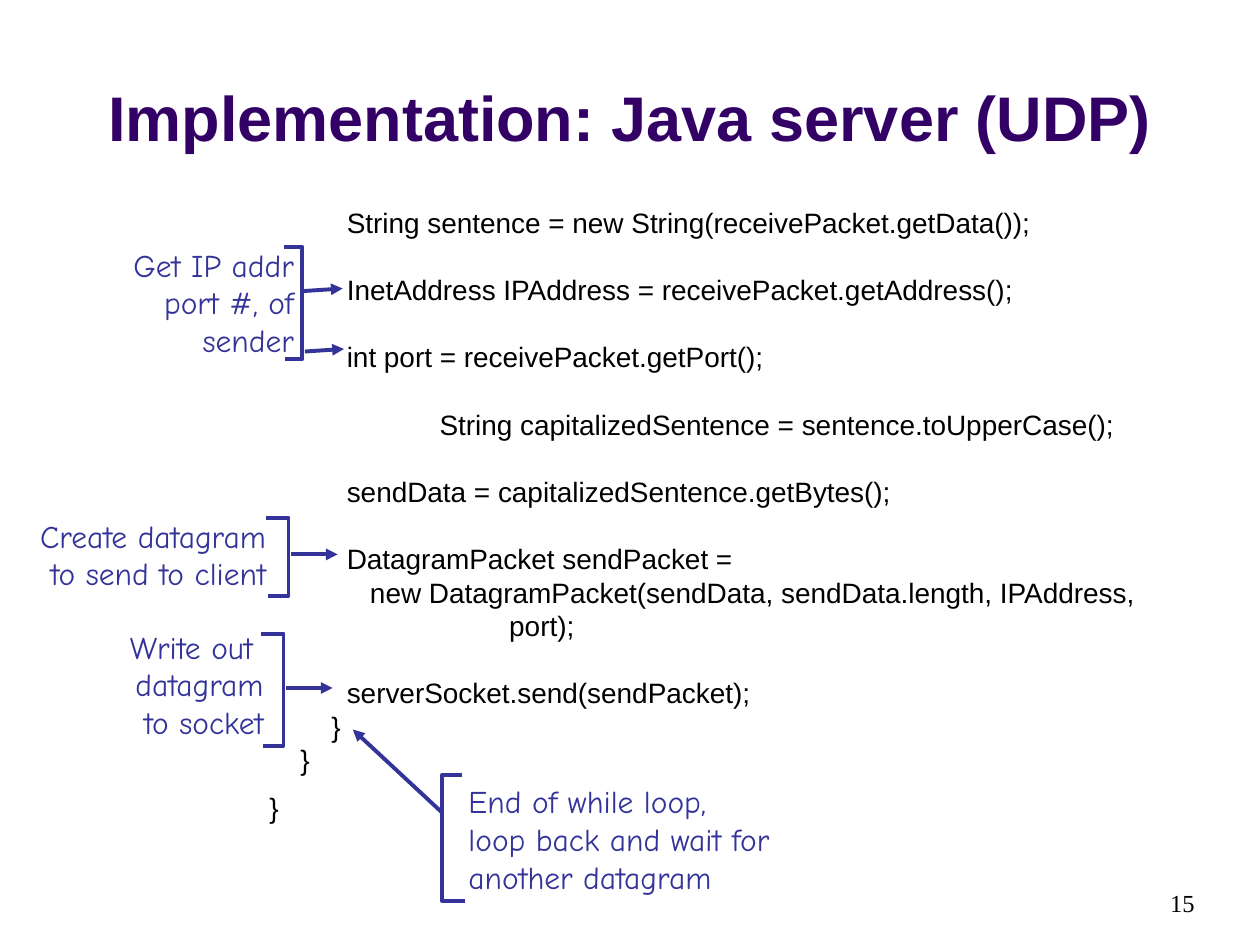
from lxml.etree import SubElement
from pptx import Presentation
from pptx.dml.color import RGBColor
from pptx.enum.shapes import MSO_CONNECTOR
from pptx.enum.text import MSO_ANCHOR, PP_ALIGN
from pptx.oxml.ns import qn
from pptx.util import Inches, Pt

INK = "333399"
LEFT, CENTER, RIGHT = PP_ALIGN.LEFT, PP_ALIGN.CENTER, PP_ALIGN.RIGHT
TOP, MIDDLE, BOTTOM = MSO_ANCHOR.TOP, MSO_ANCHOR.MIDDLE, MSO_ANCHOR.BOTTOM

TITLE = "Implementation: Java server (UDP)"
PAGE = "15"
LINE = 19.2
CODE = [
    ("          String sentence = new String(receivePacket.getData());", 0),
    ("          InetAddress IPAddress = receivePacket.getAddress();", LINE),
    ("          int port = receivePacket.getPort();", LINE),
    ("                      String capitalizedSentence = sentence.toUpperCase();", LINE),
    ("          sendData = capitalizedSentence.getBytes();", LINE),
    ("          DatagramPacket sendPacket =", LINE),
    ("             new DatagramPacket(sendData, sendData.length, IPAddress,", 0),
    ("                               port);", 0),
    ("          serverSocket.send(sendPacket);", LINE),
    ("        }", 0),
    ("    }", 0),
    ("}", 8),
]
NOTES = [
    {"lines": ["Get IP addr", "port #, of", "sender"],
     "box": (0.14, 1.9, 2.29, 1), "align": RIGHT,
     "bracket": [(2.25, 1.96), (2.4, 1.96), (2.4, 2.85), (2.26, 2.85)],
     "arrows": [(2.41, 2.31, 2.72, 2.29), (2.42, 2.79, 2.73, 2.77)]},
    {"lines": ["Create datagram", "to send to client"],
     "box": (0.2, 4.05, 2.01, 0.7), "align": RIGHT,
     "bracket": [(2.11, 4.11), (2.29, 4.11), (2.29, 4.73), (2.13, 4.73)],
     "arrows": [(2.31, 4.4, 2.68, 4.4)]},
    {"lines": ["Write out ", "datagram", "to socket"],
     "box": (0.92, 4.93, 1.27, 1), "align": RIGHT,
     "bracket": [(2.07, 5.03), (2.25, 5.03), (2.25, 5.92), (2.09, 5.92)],
     "arrows": [(2.27, 5.46, 2.64, 5.46)]},
    {"lines": ["End of while loop,", "loop back and wait for", "another datagram"],
     "box": (3.62, 6.16, 2.6, 1), "align": LEFT,
     "bracket": [(3.67, 6.15), (3.51, 6.15), (3.51, 7.15), (3.69, 7.15)],
     "arrows": [(3.51, 6.45, 2.8, 5.79)]},
]
TITLE_FONT = {"name": "Arial", "size": Pt(36), "bold": True}
CODE_FONT = {"name": "Arial", "size": Pt(16)}
NOTE_FONT = {"name": "Comic Neue", "size": Pt(18)}
PAGE_FONT = {"name": "Times New Roman", "size": Pt(14)}


def rgb(value):
    return RGBColor.from_string(value)


def add_text(s, box, rows, font, color, align=LEFT, anchor=MIDDLE, pitch=None, insets=(0.1, 0.1)):
    tf = s.shapes.add_textbox(*map(Inches, box)).text_frame
    frame = {"word_wrap": True, "vertical_anchor": anchor,
             "margin_left": Inches(insets[0]), "margin_right": Inches(insets[1])}
    for key, value in frame.items():
        setattr(tf, key, value)
    for i, (text, before) in enumerate(rows):
        p = tf.add_paragraph() if i else tf.paragraphs[0]
        p.alignment = align
        p.space_before = Pt(before)
        if pitch:
            p.line_spacing = Pt(pitch)
        r = p.add_run()
        r.text = text
        for key, value in font.items():
            setattr(r.font, key, value)
        r.font.color.rgb = rgb(color)


def set_line(sp):
    sp.line.color.rgb = rgb(INK)
    sp.line.width = Pt(2.25)


def add_bracket(s, points):
    start, *rest = [(Inches(x), Inches(y)) for x, y in points]
    builder = s.shapes.build_freeform(*start)
    builder.add_line_segments(rest, close=False)
    sp = builder.convert_to_shape()
    sp.shadow.inherit = False
    sp.fill.background()
    set_line(sp)


def add_arrow(s, ends):
    sp = s.shapes.add_connector(MSO_CONNECTOR.STRAIGHT, *map(Inches, ends))
    set_line(sp)
    SubElement(sp.line._get_or_add_ln(), qn("a:tailEnd"), type="triangle")
    SubElement(sp._element.spPr, qn("a:effectLst"))


def main():
    prs = Presentation()
    prs.slide_width, prs.slide_height = Inches(10), Inches(7.5)
    s = prs.slides.add_slide(prs.slide_layouts[6])
    add_text(s, (9.08, 7, 0.5, 0.5), [(PAGE, 0)], PAGE_FONT, "000000", RIGHT, TOP)
    add_text(s, (0.5, 0.3, 9, 1.25), [(TITLE, 0)], TITLE_FONT, "330066", CENTER)
    add_text(s, (2.04, 1.29, 7.15, 5.3), CODE, CODE_FONT, "000000",
             anchor=BOTTOM, pitch=LINE)
    for note in NOTES:
        insets = (0, 0.1) if note["align"] == RIGHT else (0.1, 0)
        add_text(s, note["box"], [(line, 0) for line in note["lines"]], NOTE_FONT, INK,
                 note["align"], pitch=21.5, insets=insets)
        add_bracket(s, note["bracket"])
        for ends in note["arrows"]:
            add_arrow(s, ends)
    prs.save("out.pptx")


if __name__ == "__main__":
    main()
